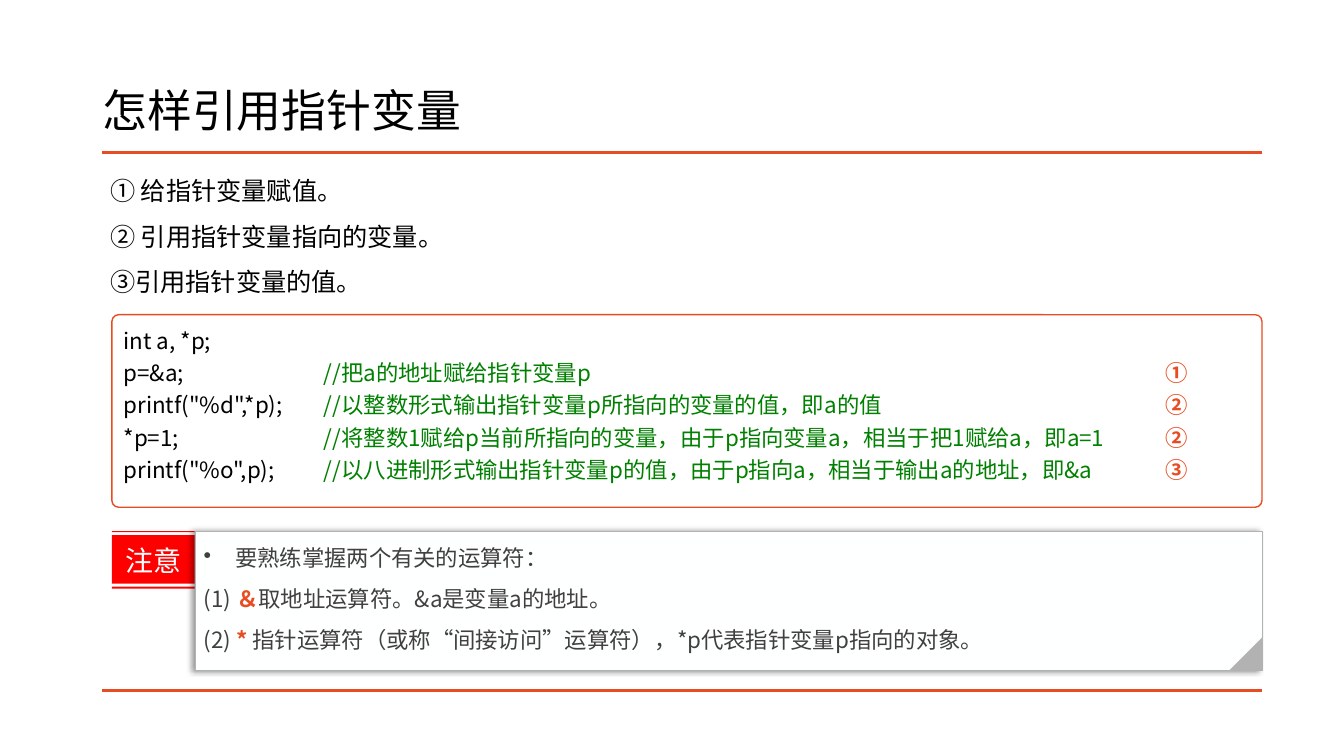
import pptx
import pptx.util
import pptx.dml.color
import pptx.enum.shapes
import pptx.enum.text
import pptx.oxml
import pptx.oxml.ns
from lxml import etree

Pt = pptx.util.Pt
RGB = pptx.dml.color.RGBColor.from_string
KIND = pptx.enum.shapes.MSO_SHAPE
ALIGN = pptx.enum.text.PP_ALIGN
MID = pptx.enum.text.MSO_ANCHOR.MIDDLE
qn = pptx.oxml.ns.qn

THEME = {
    "font": "Noto Sans CJK SC",
    "black": "000000", "white": "FFFFFF", "paper": "FEFFFF",
    "accent": "E84C22", "code": "008000", "note": "404040",
    "gray": "B2B2B2", "red": "FF0000",
    "title": 32, "tag": 20, "body": 18, "small": 16,
}


def write(shape, rows, size, space=1.0, after=0, align=ALIGN.LEFT, inset=7.2, anchor=None):
    """Fill a shape with rows, each a list of (text, colour name) runs; accent runs are bold."""
    frame = shape.text_frame
    frame.word_wrap = True
    frame.margin_left = frame.margin_right = Pt(inset)
    frame.margin_top = frame.margin_bottom = Pt(min(inset, 5.76) if inset == 5.76 else 3.6)
    frame.vertical_anchor = anchor or pptx.enum.text.MSO_ANCHOR.TOP
    for i, row in enumerate(rows):
        para = frame.paragraphs[0] if i == 0 else frame.add_paragraph()
        para.alignment = align
        para.line_spacing = space
        para.space_after = Pt(after)
        for text, tone in row:
            run = para.add_run()
            run.text = text
            run.font.name = THEME["font"]
            run.font.size = Pt(THEME[size])
            run.font.bold = tone == "accent"
            run.font.color.rgb = RGB(THEME[tone])
            etree.SubElement(run.font._element, qn("a:ea"), typeface=THEME["font"])
    return frame


def paint(shape, fill, line=None, width=1):
    shape.shadow.inherit = False
    shape.fill.solid()
    shape.fill.fore_color.rgb = RGB(THEME[fill])
    if line:
        shape.line.color.rgb = RGB(THEME[line])
        shape.line.width = Pt(width)
    else:
        shape.line.fill.background()


deck = pptx.Presentation()
deck.slide_width, deck.slide_height = Pt(960), Pt(540)
slide = deck.slides.add_slide(deck.slide_layouts[6])
shapes = slide.shapes
slide.background.fill.solid()
slide.background.fill.fore_color.rgb = RGB(THEME["white"])

# Title and rules
title = shapes.add_textbox(Pt(66.2), Pt(28.8), Pt(828), Pt(104.4))
write(title, [[("怎样引用指针变量", "black")]], "title", 0.9, anchor=MID)
for y in (108.9, 493.1):
    rule = shapes.add_connector(
        pptx.enum.shapes.MSO_CONNECTOR.STRAIGHT, Pt(72.9), Pt(y), Pt(901.4), Pt(y))
    rule.line.color.rgb = RGB(THEME["accent"])
    rule.line.width = Pt(2)
    etree.SubElement(rule._element.spPr, qn("a:effectLst"))

# Three ways to use a pointer
ways = ["① 给指针变量赋值。", "② 引用指针变量指向的变量。", "③引用指针变量的值。"]
body = shapes.add_textbox(Pt(72.9), Pt(108.9), Pt(828.5), Pt(115))
write(body, [[(way, "black")] for way in ways], "body", 1.5, align=ALIGN.JUSTIFY, inset=5.76)

# Code panel
code = [
    ("p=&a;", "//把a的地址赋给指针变量p", "①"),
    ("printf(\"%d\",*p);", "//以整数形式输出指针变量p所指向的变量的值，即a的值", "②"),
    ("*p=1;", "//将整数1赋给p当前所指向的变量，由于p指向变量a，相当于把1赋给a，即a=1", "②"),
    ("printf(\"%o\",p);", "//以八进制形式输出指针变量p的值，由于p指向a，相当于输出a的地址，即&a", "③"),
]
rows = [[("int a, *p;", "black")]]
for line, remark, mark in code:
    rows.append([(line + "\t", "black"), (remark + "\t", "code"), (mark, "accent")])
panel = shapes.add_shape(KIND.ROUNDED_RECTANGLE, Pt(79.9), Pt(224.8), Pt(821.5), Pt(137.5))
panel.adjustments[0] = 0.035
paint(panel, "white", "accent")
for para in write(panel, rows, "small", 1.2).paragraphs:
    tabs = etree.SubElement(para._p.get_or_add_pPr(), qn("a:tabLst"))
    for stop in (143, 744, 773):
        etree.SubElement(tabs, qn("a:tab"), pos=str(Pt(stop)), algn="l")

# Red tag: a block between two thin bars
left, right = Pt(79.9), Pt(139)
bands = [(419, 420.5), (382.3, 416.9), (379.4, 380.2)]
pen = shapes.build_freeform(left, Pt(bands[0][0]))
for i, (top, low) in enumerate(bands):
    if i:
        pen.move_to(left, Pt(top))
    pen.add_line_segments([(right, Pt(top)), (right, Pt(low)), (left, Pt(low))])
tag = pen.convert_to_shape()
paint(tag, "red")
write(tag, [[("注意", "paper")]], "tag", align=ALIGN.CENTER, anchor=MID)

# Note card with a folded corner
notes = [
    [("要熟练掌握两个有关的运算符：", "note")],
    [("(1) ", "note"), ("＆", "accent"), ("取地址运算符。&a是变量a的地址。", "note")],
    [("(2) ", "note"), ("* ", "accent"),
     ("指针运算符（或称“间接访问”运算符），*p代表指针变量p指向的对象。", "note")],
]
card = shapes.add_shape(KIND.RECTANGLE, Pt(139.7), Pt(379.4), Pt(761.8), Pt(99.4))
paint(card, "paper", "gray", 0.75)
first = write(card, notes, "small", 1.2, 6, inset=5.76).paragraphs[0]._p.get_or_add_pPr()
first.set("marL", str(Pt(22.5)))
first.set("indent", str(-Pt(22.5)))
etree.SubElement(first, qn("a:buChar"), char="•")
glow = card._element.spPr.find(qn("a:effectLst"))
shade = etree.SubElement(glow, qn("a:outerShdw"), blurRad=str(Pt(4)), dist=str(Pt(3)),
                         dir="10800000", algn="r", rotWithShape="0")
tint = etree.SubElement(shade, qn("a:srgbClr"), val=THEME["black"])
etree.SubElement(tint, qn("a:alpha"), val="40000")

fold = shapes.add_shape(KIND.RIGHT_TRIANGLE, Pt(878.2), Pt(455.2), Pt(23.5), Pt(23.5))
fold.rotation = 270
paint(fold, "gray")

deck.save("out.pptx")
